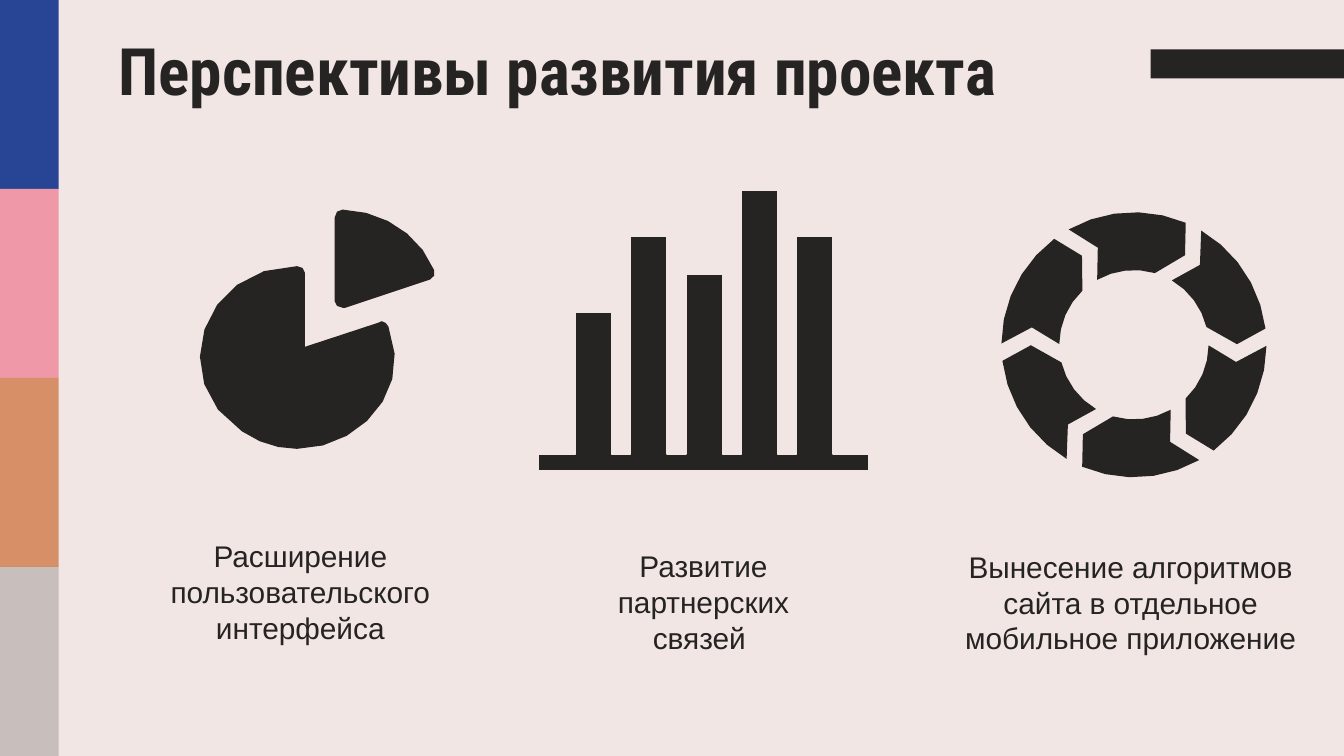
from dataclasses import dataclass
from math import cos, dist, radians, sin

from lxml.etree import SubElement
from pptx import Presentation
from pptx.dml.color import RGBColor
from pptx.enum.shapes import MSO_SHAPE
from pptx.enum.text import MSO_ANCHOR, MSO_AUTO_SIZE, PP_ALIGN
from pptx.oxml.ns import qn
from pptx.util import Pt


@dataclass(frozen=True)
class Theme:
    paper: str = "F1E6E4"
    ink: str = "252422"
    blue: str = "274594"
    pink: str = "EF98A8"
    orange: str = "D78F67"
    title_font: str = "Roboto Condensed"
    body_font: str = "Arial"
    title_size: float = 35
    body_size: float = 16


class SlideWriter:
    def __init__(self, page, theme):
        self.page = page
        self.theme = theme
        page.background.fill.solid()
        page.background.fill.fore_color.rgb = RGBColor.from_string(theme.paper)

    def paint(self, shape, color):
        shape.shadow.inherit = False
        shape.fill.solid()
        shape.fill.fore_color.rgb = RGBColor.from_string(color)
        shape.line.fill.background()

    def rectangle(self, left, top, width, height, color, opacity=100):
        shape = self.page.shapes.add_shape(
            MSO_SHAPE.RECTANGLE, Pt(left), Pt(top), Pt(width), Pt(height))
        self.paint(shape, color)
        if opacity < 100:
            fill_color = shape.element.spPr.find(".//" + qn("a:srgbClr"))
            SubElement(fill_color, qn("a:alpha"), val=str(opacity * 1000))

    def outline(self, points, border=None):
        corners = [(Pt(x), Pt(y)) for x, y in points]
        builder = self.page.shapes.build_freeform(*corners[0])
        builder.add_line_segments(corners[1:], close=True)
        shape = builder.convert_to_shape()
        self.paint(shape, self.theme.ink)
        if border:
            shape.line.color.rgb = RGBColor.from_string(border)
            shape.line.width = Pt(0.75)

    def format_text(self, box, text, font, size, align, bold=False):
        frame = box.text_frame
        frame.text = text
        frame.word_wrap = True
        frame.auto_size = MSO_AUTO_SIZE.NONE
        frame.vertical_anchor = MSO_ANCHOR.TOP
        frame.margin_left = frame.margin_right = Pt(7.2)
        frame.margin_top = frame.margin_bottom = Pt(7.2)
        para = frame.paragraphs[0]
        para.alignment = align
        para.line_spacing = 1.0
        para.space_before = Pt(0)
        span = para.runs[0]
        span.font.name = font
        span.font.size = Pt(size)
        span.font.bold = bold
        span.font.color.rgb = RGBColor.from_string(self.theme.ink)

    def title(self, text, left, top, width, height):
        box = self.page.shapes.title
        box.left, box.top, box.width, box.height = map(Pt, (left, top, width, height))
        self.format_text(box, text, self.theme.title_font, self.theme.title_size,
                         PP_ALIGN.LEFT, bold=True)

    def caption(self, text, left, top, width, height):
        box = self.page.shapes.add_textbox(Pt(left), Pt(top), Pt(width), Pt(height))
        self.format_text(box, text, self.theme.body_font, self.theme.body_size,
                         PP_ALIGN.CENTER)


def trace(start, steps):
    points = [start]
    for step in steps:
        if len(step) == 2:
            points.append(step)
            continue
        x0, y0 = points[-1]
        x1, y1, x2, y2, x3, y3 = step
        pieces = max(2, round(dist((x0, y0), (x3, y3)) / 12))
        for index in range(1, pieces + 1):
            t = index / pieces
            a, b, c, d = (1 - t) ** 3, 3 * t * (1 - t) ** 2, 3 * t * t * (1 - t), t ** 3
            points.append((a * x0 + b * x1 + c * x2 + d * x3,
                           a * y0 + b * y1 + c * y2 + d * y3))
    return points


def polar(radius, angle):
    return 607.5 + radius * sin(radians(angle)), 184.7 - radius * cos(radians(angle))


def arc(radius, first, last, pieces):
    return [polar(radius, first + (last - first) * index / pieces)
            for index in range(pieces + 1)]


def ring_arrow(turn):
    return (arc(71, turn - 29.5, turn + 23, 5) + [polar(55.2, turn + 29.7)]
            + arc(40, turn + 16.3, turn - 29.5, 4) + [polar(55.5, turn - 20.4)])


def bar_outline(tops):
    base, floor = 243.2, 252
    points = [(288.5, floor), (288.5, base)]
    for index, top in enumerate(tops):
        left = 308.2 + index * 29.65
        right = left + 19.4
        points += [(left, base), (left, top), (right, top), (right, base)]
    return points + [(465.3, base), (465.3, floor)]


PIE_SLICE = trace((183.6, 112.3), [
    (181.4, 112.3, 179.3, 113.8, 179.3, 116.6), (179.3, 161.3),
    (179.3, 163.4, 181.4, 164.9, 183.6, 164.9), (185, 164.9), (230.4, 149.8),
    (232.6, 149, 233.3, 146.9, 232.6, 144.7),
    (224.6, 125.3, 205.2, 113, 183.6, 112.3)])
PIE_BODY = trace((159.1, 142.6), [
    (108, 142.6, 87.8, 203.8, 129.6, 231.1),
    (139, 237.6, 149, 240.5, 159.1, 240.5),
    (192.2, 240.5, 221.8, 209.5, 208.1, 175),
    (207.4, 173.5, 205.9, 172.1, 204.5, 172.1), (203, 172.8),
    (163.4, 185.8), (163.4, 146.2),
    (163.4, 144, 161.3, 142.6, 159.1, 142.6)])
BAR_TOPS = (167.3, 126.7, 146.9, 102.2, 126.7)
CAPTIONS = (
    ("Расширение пользовательского интерфейса", 70.2, 280.8, 181.4, 93.6),
    ("Развитие партнерских связей ", 307.4, 286.4, 139, 71.3),
    ("Вынесение алгоритмов сайта в отдельное мобильное приложение",
     506, 286.6, 199.4, 34.6),
)


def main():
    theme = Theme()
    deck = Presentation()
    deck.slide_width, deck.slide_height = Pt(720), Pt(405)
    writer = SlideWriter(deck.slides.add_slide(deck.slide_layouts[5]), theme)

    writer.rectangle(616.4, 26.5, 103.6, 15.6, theme.ink)
    stripes = ((theme.blue, 100), (theme.pink, 100), (theme.orange, 100), (theme.ink, 20))
    stripe_height = 405 / len(stripes)
    for index, (color, opacity) in enumerate(stripes):
        writer.rectangle(0, index * stripe_height, 31.5, stripe_height, color, opacity)

    writer.title("Перспективы развития проекта", 56.2, 9, 607, 45.4)
    for caption in CAPTIONS:
        writer.caption(*caption)

    writer.outline(PIE_SLICE)
    writer.outline(PIE_BODY)
    writer.outline(bar_outline(BAR_TOPS), border=theme.paper)
    for turn in range(0, 360, 60):
        writer.outline(ring_arrow(turn))
    deck.save("out.pptx")


if __name__ == "__main__":
    main()
